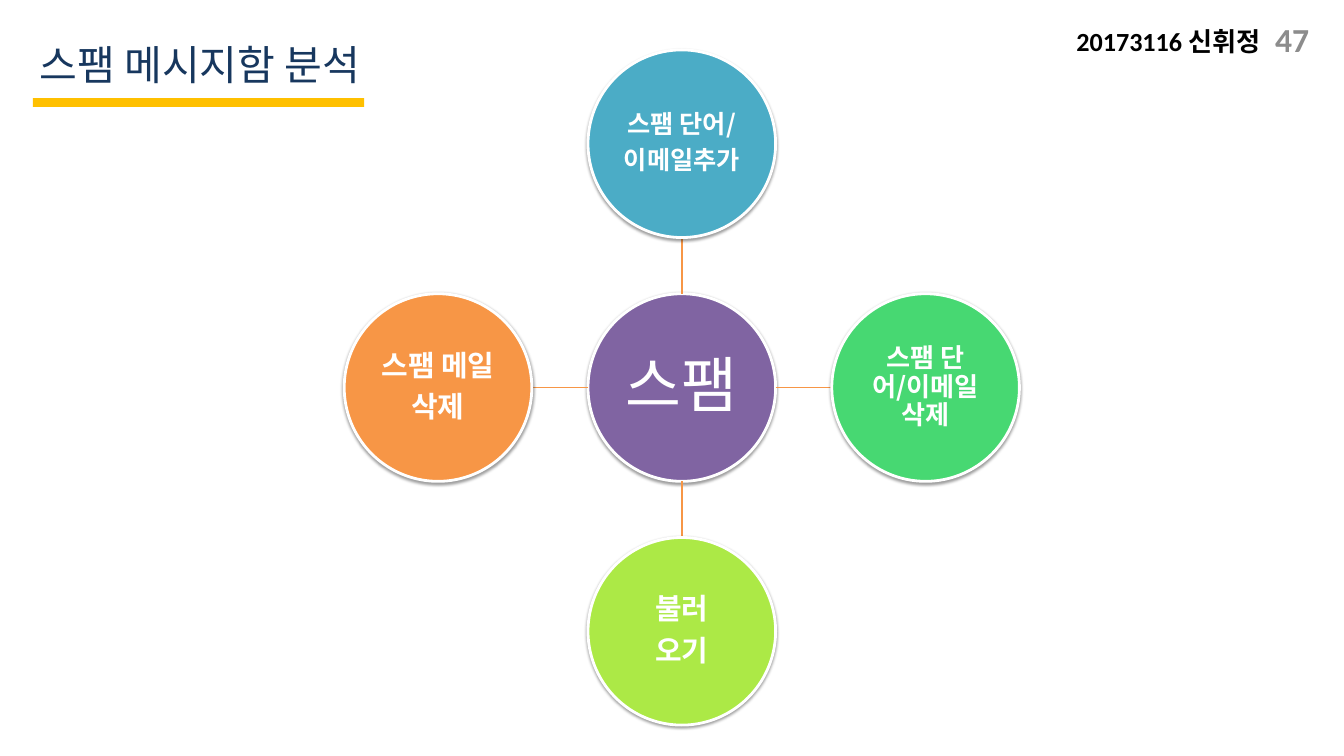
"""Build the spam mailbox analysis slide: a hub circle with four linked actions."""
from lxml import etree
from pptx import Presentation
from pptx.dml.color import RGBColor as Rgb
from pptx.enum import shapes as kinds, text as txt
from pptx.oxml import ns
from pptx.util import Pt

THEME = {
    "sans": "Noto Sans CJK KR", "latin": "Calibri",
    "navy": "17375E", "gold": "FFC000", "grey": "8C8C8C", "black": "000000",
    "white": "FFFFFF", "link": "F79646", "hub": "8064A2", "top": "4BACC6",
    "right": "47D872", "low": "ACE946", "left": "F79646",
    "title": 44, "page": 36, "name": 28, "core": 65,
    "small": 27, "mid": 28, "large": 31,
}
ALIGN, ANCHOR = txt.PP_ALIGN, txt.MSO_ANCHOR


def write(shape, lines, face, size, color, bold=False, inset=None, **form):
    frame = shape.text_frame
    frame.word_wrap = True
    frame.vertical_anchor = ANCHOR.MIDDLE
    if inset is not None:
        for side in ("left", "right", "top", "bottom"):
            setattr(frame, f"margin_{side}", Pt(inset))
    frame.text = "\n".join(lines)
    for para in frame.paragraphs:
        for key, val in form.items():
            setattr(para, key, val)
        for run in para.runs:
            look = {"name": THEME[face], "size": Pt(THEME[size]), "bold": bold}
            for key, val in look.items():
                setattr(run.font, key, val)
            run.font.color.rgb = Rgb.from_string(THEME[color])
            east = etree.SubElement(run.font._element, ns.qn("a:ea"))
            east.set("typeface", THEME["sans"])


def paint(shape, color):
    shape.shadow.inherit = False
    shape.fill.solid()
    shape.fill.fore_color.rgb = Rgb.from_string(THEME[color])
    shape.line.fill.background()


deck = Presentation()
deck.slide_width, deck.slide_height = Pt(1440), Pt(810)
slide = deck.slides.add_slide(deck.slide_layouts[5])
draw = slide.shapes

title = draw.title
place = {"left": 35.3, "top": 38.9, "width": 510.5, "height": 60.5}
for key, val in place.items():
    setattr(title, key, Pt(val))
write(title, ["스팸 메시지함 분석"], "sans", "title", "navy", alignment=ALIGN.LEFT)

bar = draw.add_shape(kinds.MSO_SHAPE.RECTANGLE, Pt(35.3), Pt(105.1), Pt(355), Pt(9.4))
paint(bar, "gold")

labels = [
    ("47", (1242, 27.4, 167.8, 28.8), "page", "grey", ALIGN.RIGHT),
    ("20173116 신휘정", (1146.2, 23, 221.8, 41), "name", "black", ALIGN.LEFT),
]
for words, box, size, color, side in labels:
    label = draw.add_textbox(*map(Pt, box))
    write(label, [words], "latin", size, color, True, alignment=side)

MIDX, MIDY, DIAM, STEP = 730.5, 415.2, 201, 261.2
RAD = DIAM / 2
nodes = [
    (0, 0, "hub", ["스팸"], "core"),
    (0, -1, "top", ["스팸 단어/", "이메일추가"], "small"),
    (1, 0, "right", ["스팸 단어/이메일 삭제"], "mid"),
    (0, 1, "low", ["불러", "오기"], "large"),
    (-1, 0, "left", ["스팸 메일", "삭제"], "large"),
]
for col, row, color, lines, size in nodes:
    hub = color == "hub"
    if not hub:
        ends = [Pt(mid + way * dist) for dist in (RAD, STEP - RAD)
                for mid, way in ((MIDX, col), (MIDY, row))]
        link = draw.add_connector(kinds.MSO_CONNECTOR.STRAIGHT, *ends)
        link.line.color.rgb = Rgb.from_string(THEME["link"])
        link.line.width = Pt(2)
        etree.SubElement(link._element.spPr, ns.qn("a:effectLst"))

    disc = draw.add_shape(
        kinds.MSO_SHAPE.OVAL, Pt(MIDX + col * STEP - RAD),
        Pt(MIDY + row * STEP - RAD), Pt(DIAM), Pt(DIAM))
    paint(disc, color)
    disc.line.color.rgb = Rgb.from_string(THEME["white"])
    disc.line.width = Pt(3)
    glow = etree.SubElement(
        disc._element.spPr.find(ns.qn("a:effectLst")), ns.qn("a:outerShdw"),
        blurRad=str(Pt(3.1)), dist=str(Pt(1.6)), dir="5400000", rotWithShape="0")
    tint = etree.SubElement(glow, ns.qn("a:srgbClr"), val=THEME["black"])
    etree.SubElement(tint, ns.qn("a:alpha"), val="38000")
    write(disc, lines, "sans", size, "white", not hub, 3.6 if hub else 1.4,
          alignment=ALIGN.CENTER, line_spacing=0.9,
          space_after=Pt(0.35 * THEME[size]))

deck.save("out.pptx")
